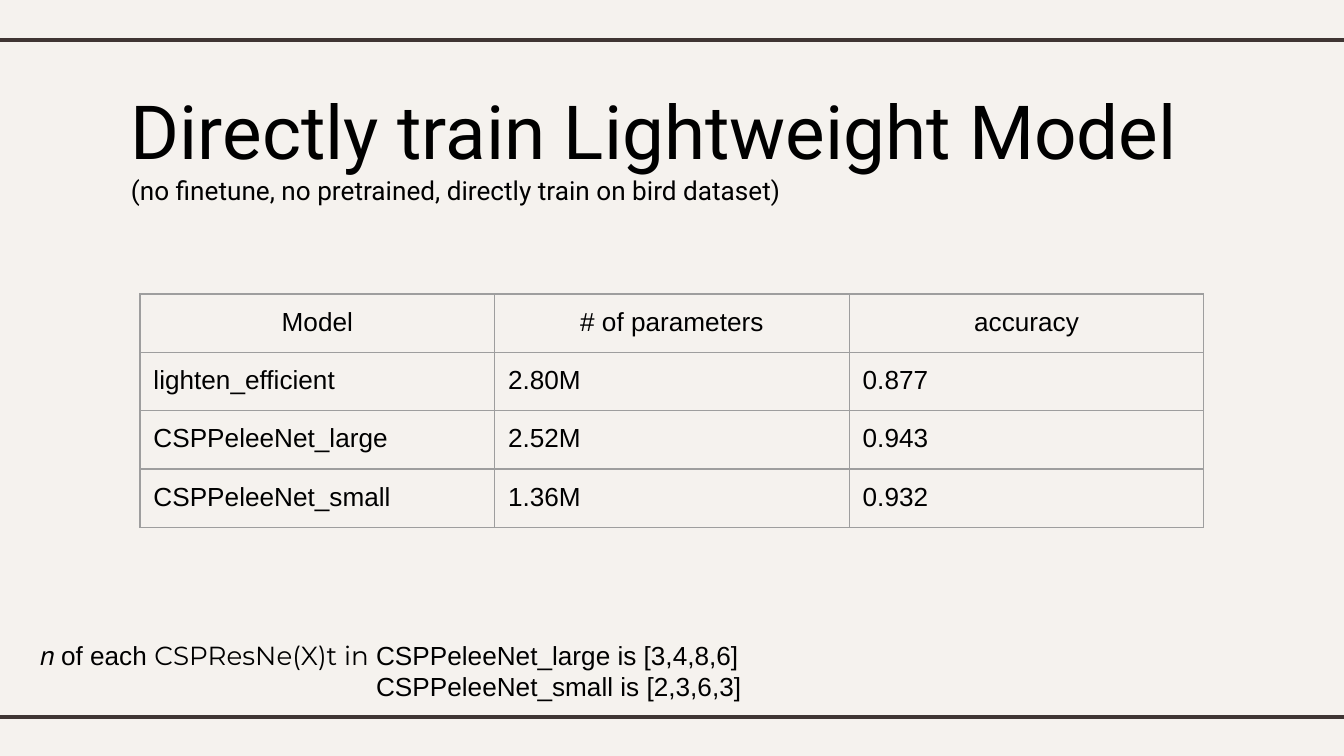
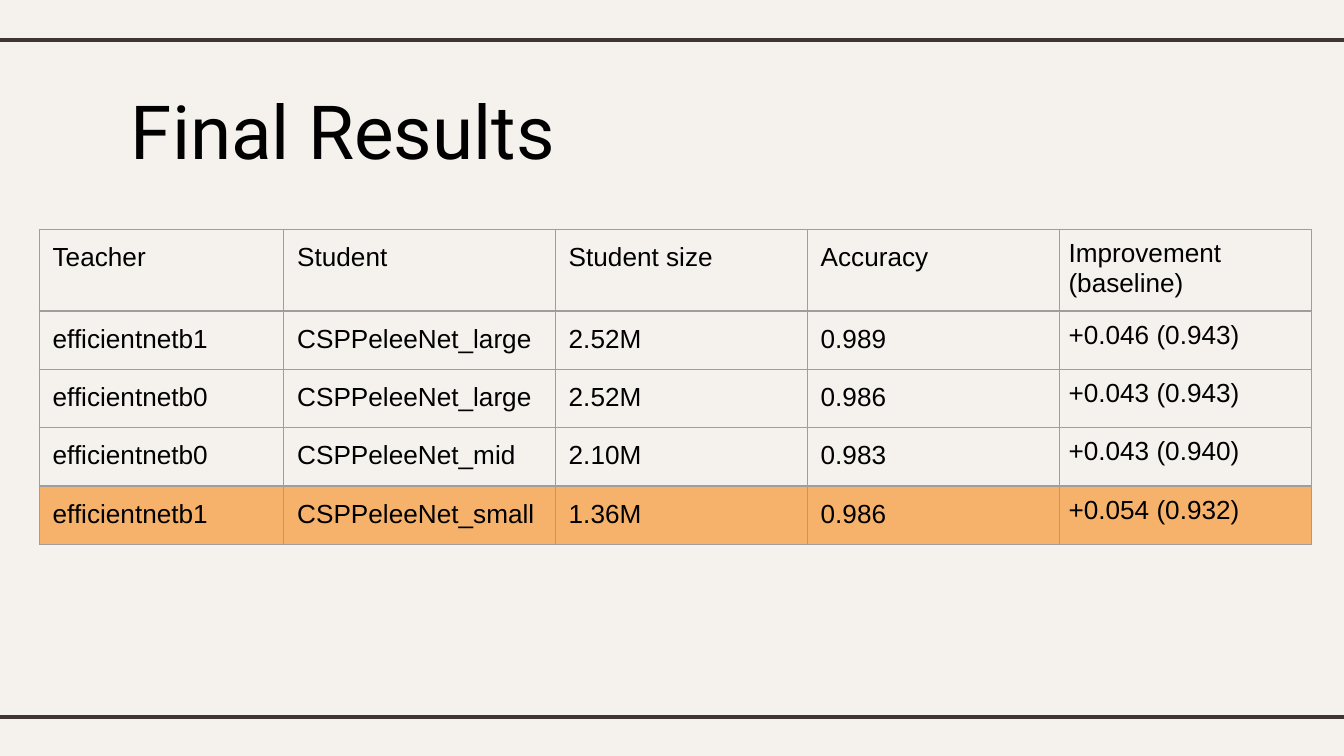
"""Build two slides that report bird model training results."""
from dataclasses import dataclass

from lxml.etree import SubElement as Sub
from pptx import Presentation
from pptx.dml.color import RGBColor as Rgb
from pptx.enum.shapes import MSO_CONNECTOR as Conn
from pptx.enum.text import MSO_ANCHOR as Anchor, PP_ALIGN as Align
from pptx.oxml.ns import qn
from pptx.util import Pt


@dataclass(frozen=True)
class Theme:
    paper: str = "F5F2EE"
    rule: str = "3F3533"
    ink: str = "000000"
    grid: str = "9E9E9E"
    mark: str = "F6B26B"
    head: str = "Roboto"
    body: str = "Arial"
    alt: str = "Montserrat"
    big: float = 40
    small: float = 14
    thick: float = 2.25
    thin: float = 0.75


T = Theme()
WIDE, HIGH = 720, 405
RULES = (21.5, 384)
BLEED = 6
PAD, TIGHT = 7.2, 5
ROW = 30

TRAIN = {
    "title": ["Directly train Lightweight Model",
              "(no finetune, no pretrained, directly train on bird dataset)"],
    "place": (75, 157.5),
    "cols": [190] * 3,
    "top": ROW,
    "center": True,
    "rows": [
        ("Model", "# of parameters", "accuracy"),
        ("lighten_efficient", "2.80M", "0.877"),
        ("CSPPeleeNet_large", "2.52M", "0.943"),
        ("CSPPeleeNet_small", "1.36M", "0.932"),
    ],
}
FINAL = {
    "title": ["Final Results"],
    "place": (21, 123),
    "cols": [131, 145.5] + [135] * 3,
    "top": 37.5,
    "tight": 4,
    "mark": 4,
    "rows": [
        ("Teacher", "Student", "Student size", "Accuracy", "Improvement (baseline)"),
        ("efficientnetb1", "CSPPeleeNet_large", "2.52M", "0.989", "+0.046 (0.943)"),
        ("efficientnetb0", "CSPPeleeNet_large", "2.52M", "0.986", "+0.043 (0.943)"),
        ("efficientnetb0", "CSPPeleeNet_mid", "2.10M", "0.983", "+0.043 (0.940)"),
        ("efficientnetb1", "CSPPeleeNet_small", "1.36M", "0.986", "+0.054 (0.932)"),
    ],
}
NOTE = [
    (0, [("𝑛 ", T.alt), ("of each ", T.body), ("CSPResNe(X)t in ", T.alt),
         ("CSPPeleeNet_large is [3,4,8,6]", T.body)]),
    (180, [("CSPPeleeNet_small is [2,3,6,3]", T.body)]),
]


def color(code):
    return Rgb.from_string(code)


def style(font, name, size):
    font.name, font.size = name, Pt(size)
    font.color.rgb = color(T.ink)


def inset(part, pad):
    part.margin_left = part.margin_right = Pt(pad)
    part.margin_top = part.margin_bottom = Pt(pad)


def add_text(slide, *spot):
    frame = slide.shapes.add_textbox(*map(Pt, spot)).text_frame
    frame.word_wrap = True
    return frame


def next_par(frame, num):
    return frame.add_paragraph() if num else frame.paragraphs[0]


def add_rules(slide):
    for y in RULES:
        line = slide.shapes.add_connector(
            Conn.STRAIGHT, Pt(-BLEED), Pt(y), Pt(WIDE + BLEED), Pt(y))
        line.line.color.rgb = color(T.rule)
        line.line.width = Pt(T.thick)
        Sub(line._element.spPr, qn("a:effectLst"))


def add_title(slide, lines):
    frame = add_text(slide, 63, 38.5, 597, 69)
    inset(frame, PAD)
    frame.vertical_anchor = Anchor.TOP
    for num, text in enumerate(lines):
        par = next_par(frame, num)
        par.text = text
        style(par.font, T.head, T.small if num else T.big)


def add_edges(cell):
    props = cell._tc.get_or_add_tcPr()
    for num, side in enumerate("LRTB"):
        edge = Sub(props, qn(f"a:ln{side}"), w=str(Pt(T.thin)))
        fill = Sub(edge, qn("a:solidFill"))
        Sub(fill, qn("a:srgbClr"), val=T.grid)
        props.insert(num, edge)


def add_grid(slide, data):
    rows, cols = data["rows"], data["cols"]
    highs = [data["top"]] + [ROW] * (len(rows) - 1)
    spot = (*data["place"], sum(cols), sum(highs))
    table = slide.shapes.add_table(len(rows), len(cols), *map(Pt, spot)).table
    table.first_row = table.horz_banding = False
    for col, wide in zip(table.columns, cols):
        col.width = Pt(wide)
    for row, high in zip(table.rows, highs):
        row.height = Pt(high)
    for r, row in enumerate(rows):
        for c, text in enumerate(row):
            cell = table.cell(r, c)
            cell.text = text
            inset(cell, TIGHT if c == data.get("tight") else PAD)
            par = cell.text_frame.paragraphs[0]
            style(par.font, T.body, T.small)
            if r == 0 and data.get("center"):
                par.alignment = Align.CENTER
            if r == data.get("mark"):
                cell.fill.solid()
                cell.fill.fore_color.rgb = color(T.mark)
            else:
                cell.fill.background()
            add_edges(cell)


def add_note(slide):
    frame = add_text(slide, 14.4, 339, 435.5, 58)
    for num, (left, parts) in enumerate(NOTE):
        par = next_par(frame, num)
        par._p.get_or_add_pPr().set("marL", str(Pt(left)))
        for text, name in parts:
            run = par.add_run()
            run.text = text
            style(run.font, name, T.small)


def add_slide(deck, data):
    slide = deck.slides.add_slide(deck.slide_layouts[6])
    back = slide.background.fill
    back.solid()
    back.fore_color.rgb = color(T.paper)
    add_rules(slide)
    add_title(slide, data["title"])
    add_grid(slide, data)
    return slide


def main():
    deck = Presentation()
    deck.slide_width, deck.slide_height = Pt(WIDE), Pt(HIGH)
    add_note(add_slide(deck, TRAIN))
    add_slide(deck, FINAL)
    deck.save("out.pptx")


if __name__ == "__main__":
    main()
